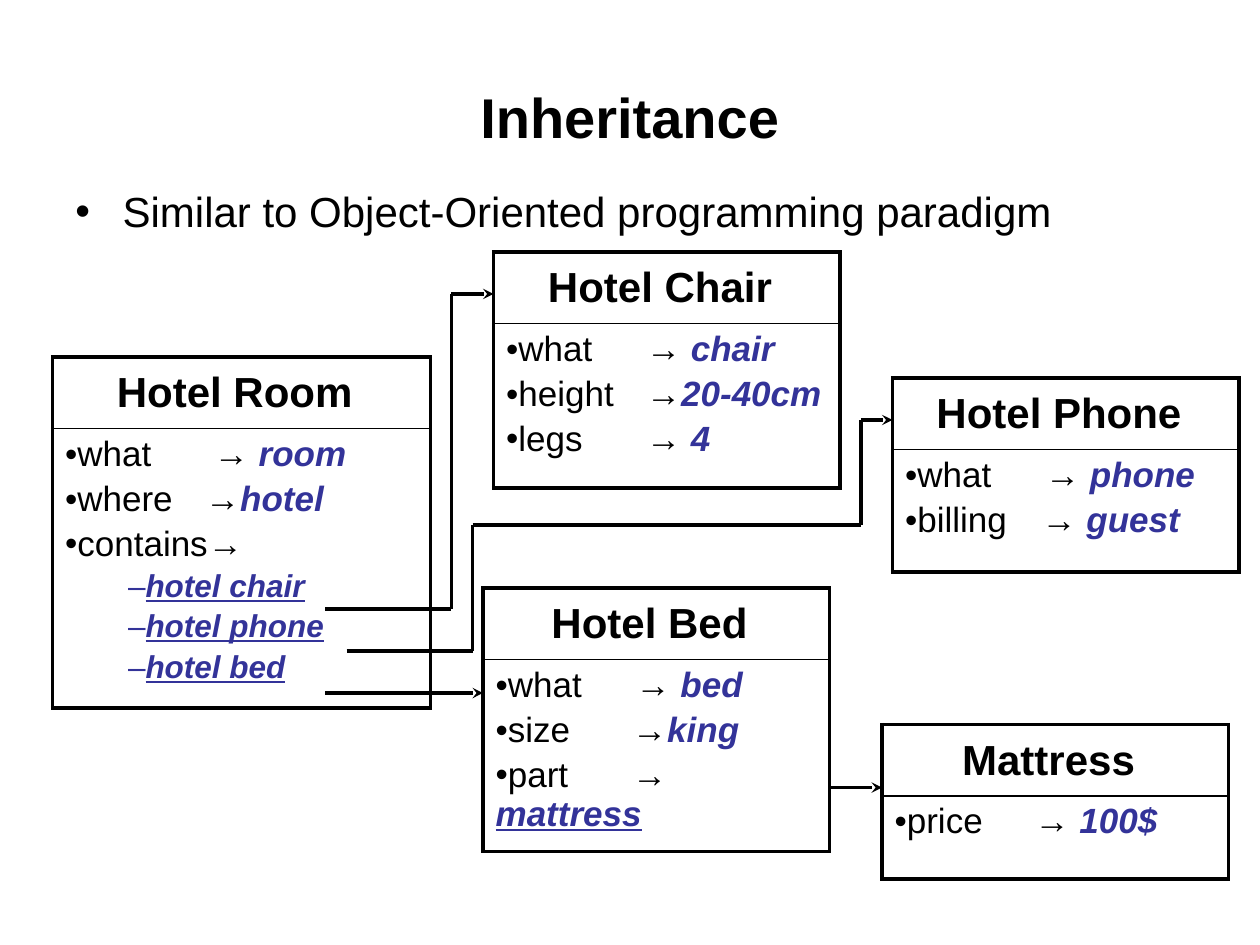
from lxml.etree import SubElement
from pptx import Presentation
from pptx.dml.color import RGBColor
from pptx.enum.shapes import MSO_CONNECTOR
from pptx.enum.text import MSO_ANCHOR, PP_ALIGN
from pptx.oxml import parse_xml
from pptx.oxml.ns import nsdecls, qn
from pptx.util import Pt

COLORS = {"black": "000000", "value": "333399"}
HEADER_HEIGHT = 38.5


def add_run(paragraph, text, size, color="black", bold=False, italic=False, underline=False):
    run = paragraph.add_run()
    run.text = text
    font = run.font
    font.name, font.size = "Arial", Pt(size)
    font.bold, font.italic, font.underline = bold, italic, underline
    font.color.rgb = RGBColor.from_string(COLORS[color])


def add_bullet(paragraph, character, left=0, indent=0, tab=None):
    properties = paragraph._p.get_or_add_pPr()
    properties.set("marL", str(Pt(left)))
    properties.set("indent", str(Pt(indent)))
    SubElement(properties, qn("a:buFont"), typeface="Arial")
    SubElement(properties, qn("a:buChar"), char=character)
    if tab:
        tabs = SubElement(properties, qn("a:tabLst"))
        SubElement(tabs, qn("a:tab"), pos=str(Pt(tab)), algn="l")


presentation = Presentation()
presentation.slide_width, presentation.slide_height = Pt(720), Pt(540)
slide = presentation.slides.add_slide(presentation.slide_layouts[6])

title = slide.shapes.add_textbox(Pt(36), Pt(21.6), Pt(648), Pt(90)).text_frame
title.word_wrap = True
title.vertical_anchor = MSO_ANCHOR.MIDDLE
title.paragraphs[0].alignment = PP_ALIGN.CENTER
add_run(title.paragraphs[0], "Inheritance", 32, bold=True)

body = slide.shapes.add_textbox(Pt(36), Pt(102.5), Pt(648), Pt(48)).text_frame
body.word_wrap = True
add_bullet(body.paragraphs[0], "•", 27, -27)
add_run(body.paragraphs[0], "Similar to Object-Oriented programming paradigm", 24)

frames = [
    ("Hotel Room", 30, 204, 216, 191.5,
     [("what", "→ ", "room", 85), ("where", "→", "hotel", 80), ("contains", "→", "", None)],
     ["hotel chair", "hotel phone", "hotel bed"]),
    ("Hotel Chair", 282, 144, 198, 132.5,
     [("what", "→ ", "chair", 80), ("height", "→", "20-40cm", 80), ("legs", "→ ", "4", 80)], []),
    ("Hotel Phone", 510, 216, 198, 108.5,
     [("what", "→ ", "phone", 80), ("billing", "→ ", "guest", 78)], []),
    ("Hotel Bed", 276, 336, 198, 142.5,
     [("what", "→ ", "bed", 80), ("size", "→", "king", 78), ("part", "→ ", "mattress", 78)], []),
    ("Mattress", 504, 414, 198, 86,
     [("price", "→ ", "100$", 80)], []),
]
for name, left, top, width, height, slots, parts in frames:
    table = slide.shapes.add_table(2, 1, Pt(left), Pt(top), Pt(width), Pt(height)).table
    table.first_row = table.horz_banding = False
    table.rows[0].height = Pt(HEADER_HEIGHT)
    table.rows[1].height = Pt(height - HEADER_HEIGHT)
    header, content = table.cell(0, 0), table.cell(1, 0)

    paragraph = header.text_frame.paragraphs[0]
    paragraph.alignment = PP_ALIGN.CENTER
    add_run(paragraph, name, 24, bold=True)
    add_run(paragraph, " ", 28, bold=True)

    for index, (label, arrow, value, tab) in enumerate(slots):
        if index == 0:
            paragraph = content.text_frame.paragraphs[0]
        else:
            paragraph = content.text_frame.add_paragraph()
            paragraph.space_before = Pt(3.3)
        add_bullet(paragraph, "•", tab=tab)
        add_run(paragraph, label + ("\t" if tab else "") + arrow, 20)
        if value:
            add_run(paragraph, value, 20, "value", True, True, value == "mattress")
    for part in parts:
        paragraph = content.text_frame.add_paragraph()
        paragraph.level = 1
        paragraph.space_before = Pt(3)
        add_bullet(paragraph, "–", 36)
        add_run(paragraph, part, 18, "value", True, True, True)

    for cell, top_width, bottom_width in ((header, 2.25, 1), (content, 1, 2.25)):
        cell.fill.background()
        borders = (("lnL", 2.25), ("lnR", 2.25), ("lnT", top_width), ("lnB", bottom_width))
        for position, (side, line_width) in enumerate(borders):
            cell._tc.get_or_add_tcPr().insert(position, parse_xml(
                f'<a:{side} {nsdecls("a")} w="{Pt(line_width)}"><a:solidFill>'
                f'<a:srgbClr val="{COLORS["black"]}"/></a:solidFill></a:{side}>'))

routes = [
    [(186, 348), (258, 348), (258, 168), (282, 168)],
    [(198, 372), (270, 372), (270, 300), (492, 300), (492, 240), (510, 240)],
    [(186, 396), (276, 396)],
    [(474, 450), (504, 450)],
]
for route in routes:
    for start, end in zip(route, route[1:]):
        connector = slide.shapes.add_connector(
            MSO_CONNECTOR.STRAIGHT, *(Pt(value) for value in start + end))
        connector.line.width = Pt(2)
        connector.line.color.rgb = RGBColor.from_string(COLORS["black"])
        if end == route[-1]:
            SubElement(connector.line._get_or_add_ln(), qn("a:tailEnd"), type="stealth")
        SubElement(connector._element.spPr, qn("a:effectLst"))

presentation.save("out.pptx")
